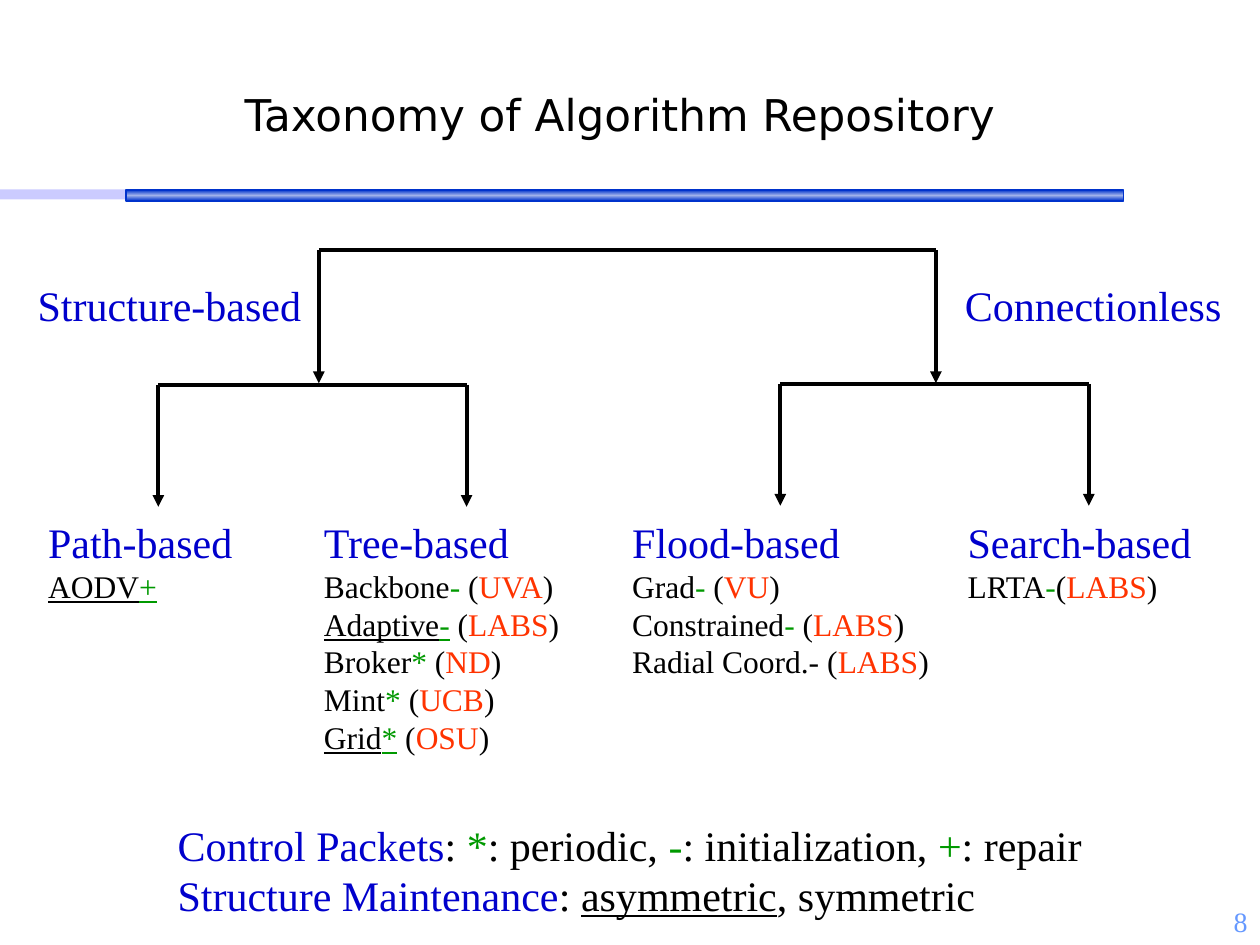
"""Build the slide on the taxonomy of the algorithm repository."""
from copy import deepcopy
from dataclasses import dataclass

from lxml.etree import SubElement
from pptx import Presentation
from pptx.dml.color import RGBColor
from pptx.enum.shapes import MSO_CONNECTOR as Connector, MSO_SHAPE as Shape
from pptx.enum.text import MSO_ANCHOR as Anchor, MSO_AUTO_SIZE as AutoSize, PP_ALIGN as Align
from pptx.oxml.ns import qn
from pptx.slide import Slide
from pptx.text.text import TextFrame
from pptx.util import Pt


@dataclass(frozen=True)
class Theme:
    ink: str = "000000"
    heading: str = "0000CC"
    mark: str = "009900"
    group: str = "FF3300"
    number: str = "6699FF"
    strip: str = "9999FF"
    bar: str = "0033CC"
    bar_light: str = "9FB2EB"
    title_font: str = "DejaVu Sans"
    body_font: str = "Times New Roman"
    title_size: float = 25
    heading_size: float = 24
    item_size: float = 18
    number_size: float = 16
    line_width: float = 2.25


THEME = Theme()


@dataclass(frozen=True)
class Span:
    text: str
    color: str = THEME.ink
    size: float = THEME.heading_size
    underline: bool = False
    font: str = THEME.body_font


@dataclass(frozen=True)
class Area:
    left: float
    top: float
    width: float
    height: float

    def lengths(self) -> list[Pt]:
        return [Pt(value) for value in (self.left, self.top, self.width, self.height)]


@dataclass(frozen=True)
class Algorithm:
    name: str
    mark: str = ""
    group: str = ""
    asymmetric: bool = False
    gap: str = " "

    def spans(self) -> list[Span]:
        size = THEME.item_size
        parts = [Span(self.name, size=size, underline=self.asymmetric)]
        if self.mark:
            parts.append(Span(self.mark, THEME.mark, size, self.asymmetric))
        if self.group:
            parts += [Span(f"{self.gap}(", size=size), Span(self.group, THEME.group, size),
                      Span(")", size=size)]
        return parts


@dataclass(frozen=True)
class Family:
    name: str
    left: float
    width: float
    algorithms: list[Algorithm]


@dataclass(frozen=True)
class Fork:
    left: float
    right: float
    top: float
    tip: float


FAMILIES = [
    Family("Path-based", 20.4, 179.3, [Algorithm("AODV", "+", asymmetric=True)]),
    Family("Tree-based", 178, 179.3, [
        Algorithm("Backbone", "-", "UVA"),
        Algorithm("Adaptive", "-", "LABS", asymmetric=True),
        Algorithm("Broker", "*", "ND"),
        Algorithm("Mint", "*", "UCB"),
        Algorithm("Grid", "*", "OSU", asymmetric=True),
    ]),
    Family("Flood-based", 354.2, 201.6, [
        Algorithm("Grad", "-", "VU"),
        Algorithm("Constrained", "-", "LABS"),
        Algorithm("Radial Coord.-", group="LABS"),
    ]),
    Family("Search-based", 545.8, 174.2, [Algorithm("LRTA", "-", "LABS", gap="")]),
]
FORKS = [Fork(182.2, 534.8, 143.1, 219), Fork(90.5, 266.6, 219.8, 289.6),
         Fork(445.9, 622.2, 219.4, 289)]
BRANCHES = [("Structure-based", Area(14.4, 156.2, 165, 36)),
            ("Connectionless", Area(544.3, 156.2, 162, 36))]
LEGEND = [
    [Span("Control Packets", THEME.heading), Span(": "), Span("*", THEME.mark),
     Span(": periodic, "), Span("-", THEME.mark), Span(": initialization, "),
     Span("+", THEME.mark), Span(": repair")],
    [Span("Structure Maintenance", THEME.heading), Span(": "),
     Span("asymmetric", underline=True), Span(", symmetric")],
]


def write(frame: TextFrame, lines: list[list[Span]], align: Align = Align.LEFT) -> None:
    """Fill a text frame with one paragraph of spans for each line."""
    for index, line in enumerate(lines):
        para = frame.add_paragraph() if index else frame.paragraphs[0]
        para.alignment = align
        for span in line:
            run = para.add_run()
            run.text = span.text
            run.font.name, run.font.size = span.font, Pt(span.size)
            run.font.color.rgb = RGBColor.from_string(span.color)
            run.font.underline = span.underline


def add_text(page: Slide, area: Area, lines: list[list[Span]], wrap: bool = True,
             align: Align = Align.LEFT) -> None:
    """Add a text box that grows with its text."""
    box = page.shapes.add_textbox(*area.lengths())
    box.text_frame.word_wrap = wrap
    box.text_frame.auto_size = AutoSize.SHAPE_TO_FIT_TEXT
    write(box.text_frame, lines, align)


def add_line(page: Slide, start: tuple[float, float], end: tuple[float, float],
             arrow: bool = False) -> None:
    """Add a straight line, with an arrowhead at its end if asked."""
    line = page.shapes.add_connector(Connector.STRAIGHT, *map(Pt, start + end))
    line.line.width = Pt(THEME.line_width)
    line.line.color.rgb = RGBColor.from_string(THEME.ink)
    if arrow:
        outline = line._element.spPr.find(qn("a:ln"))
        SubElement(outline, qn("a:tailEnd"), type="triangle")
    SubElement(line._element.spPr, qn("a:effectLst"))


def add_fork(page: Slide, fork: Fork) -> None:
    """Add a crossbar with an arrow down from each end."""
    add_line(page, (fork.left, fork.top), (fork.right, fork.top))
    for x in (fork.left, fork.right):
        add_line(page, (x, fork.top), (x, fork.tip), arrow=True)


def add_rule(page: Slide) -> None:
    """Add the pale strip and the shaded bar below the title."""
    strip = page.shapes.add_shape(Shape.RECTANGLE, *Area(0, 108.2, 622.1, 5.8).lengths())
    strip.shadow.inherit = False
    strip.fill.solid()
    strip.fill.fore_color.rgb = RGBColor.from_string(THEME.strip)
    strip.line.fill.background()
    color = strip._element.spPr.find(".//" + qn("a:srgbClr"))
    SubElement(color, qn("a:alpha"), val="50000")

    bar = page.shapes.add_shape(Shape.RECTANGLE, *Area(72, 108.6, 570, 6.2).lengths())
    bar.shadow.inherit = False
    bar.line.color.rgb = RGBColor.from_string(THEME.bar)
    bar.line.width = Pt(1)
    bar.fill.gradient()
    bar.fill.gradient_angle = 90
    first = bar._element.spPr.find(".//" + qn("a:gs"))
    first.addnext(deepcopy(first))
    shades = (THEME.bar, THEME.bar_light, THEME.bar)
    for stop, shade, position in zip(bar.fill.gradient_stops, shades, (0, 0.5, 1)):
        stop.color.rgb = RGBColor.from_string(shade)
        stop.position = position


def add_title(page: Slide, text: str) -> None:
    """Place and format the title placeholder."""
    title = page.shapes.title
    title.left, title.top, title.width, title.height = Area(30.2, 46.4, 648, 37.4).lengths()
    title.text_frame.auto_size = AutoSize.NONE
    title.text_frame.vertical_anchor = Anchor.BOTTOM
    span = Span(text, size=THEME.title_size, font=THEME.title_font)
    write(title.text_frame, [[span]], Align.CENTER)


def main() -> None:
    """Assemble and save the deck."""
    deck = Presentation()
    deck.slide_width, deck.slide_height = Pt(720), Pt(540)
    page = deck.slides.add_slide(deck.slide_layouts[5])
    add_rule(page)
    add_title(page, "Taxonomy of Algorithm Repository")
    for fork in FORKS:
        add_fork(page, fork)
    for name, area in BRANCHES:
        add_text(page, area, [[Span(name, THEME.heading)]], wrap=False)
    for family in FAMILIES:
        area = Area(family.left, 291.6, family.width, 36 + 21.6 * len(family.algorithms))
        items = [algorithm.spans() for algorithm in family.algorithms]
        add_text(page, area, [[Span(family.name, THEME.heading)], *items])
    add_text(page, Area(94.4, 464.6, 532, 64.8), LEGEND, wrap=False)
    number = Span("8", THEME.number, THEME.number_size)
    add_text(page, Area(684, 513.6, 36, 26.4), [[number]], align=Align.RIGHT)
    deck.save("out.pptx")


if __name__ == "__main__":
    main()
